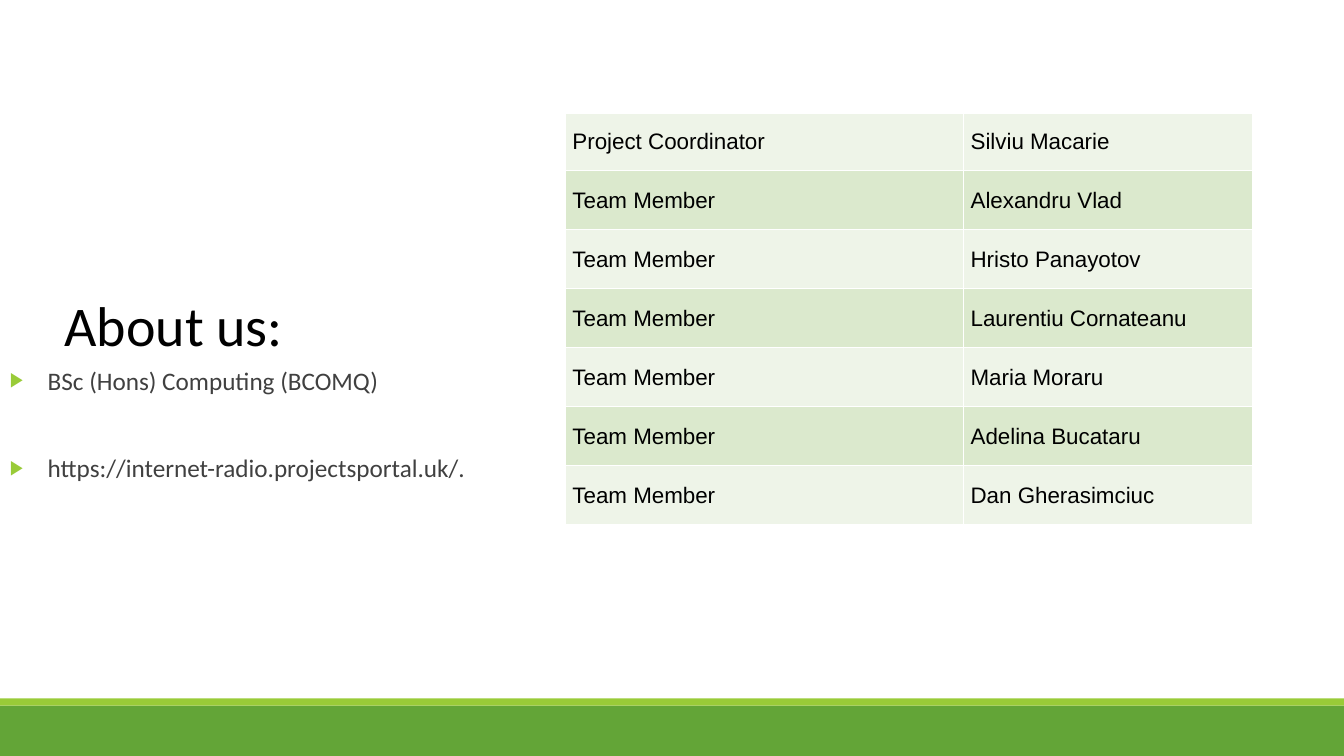
import dataclasses

import lxml.etree
import pptx
import pptx.dml.color
import pptx.enum.shapes
import pptx.enum.text
import pptx.oxml.ns
import pptx.util

COLUMNS, ROWS = 160, 90
UNIT = pptx.util.Emu(76200)
COLORS = {
    "green": "63A537",
    "lime": "99CB38",
    "pale": "EEF4E8",
    "light": "DBE9CD",
    "black": "000000",
    "gray": "404040",
    "white": "FFFFFF",
}


@dataclasses.dataclass(frozen=True)
class Area:
    column: float
    row: float
    columns: float
    rows: float

    def emu(self) -> list[int]:
        return [grid(n) for n in (self.column, self.row, self.columns, self.rows)]


@dataclasses.dataclass(frozen=True)
class Band:
    area: Area
    color: str


@dataclasses.dataclass(frozen=True)
class Member:
    role: str
    name: str


BANDS = [
    Band(Area(0, 84, COLUMNS, 6), "green"),
    Band(Area(0, 83.16, COLUMNS, 0.84), "lime"),
]
HEADING_AREA = Area(6.5, 34, 30.84, 7.9)
DETAILS_AREA = Area(0, 42.84, 64.8, 16.56)
DETAILS = ["BSc (Hons) Computing (BCOMQ)", "https://internet-radio.projectsportal.uk/."]
TEAM = [Member("Project Coordinator", "Silviu Macarie")] + [
    Member("Team Member", name)
    for name in (
        "Alexandru Vlad",
        "Hristo Panayotov",
        "Laurentiu Cornateanu",
        "Maria Moraru",
        "Adelina Bucataru",
        "Dan Gherasimciuc",
    )
]
TEAM_WIDTHS = (47.4, 34.4)
TEAM_ROW = 7.02
TEAM_AREA = Area(67.32, 13.32, sum(TEAM_WIDTHS), TEAM_ROW * len(TEAM))


def grid(count: float) -> int:
    return round(count * UNIT)


def rgb(color: str) -> pptx.dml.color.RGBColor:
    return pptx.dml.color.RGBColor.from_string(COLORS[color])


def style(paragraph, font: str, size: float, color: str) -> None:
    for run in paragraph.runs:
        run.font.name = font
        run.font.size = pptx.util.Pt(size)
        run.font.color.rgb = rgb(color)


def child(parent, tag: str, **attributes: str):
    return lxml.etree.SubElement(parent, pptx.oxml.ns.qn(tag), attributes)


def draw_band(slide, band: Band) -> None:
    bar = slide.shapes.add_shape(
        pptx.enum.shapes.MSO_SHAPE.RECTANGLE, *band.area.emu()
    )
    bar.shadow.inherit = False
    bar.fill.solid()
    bar.fill.fore_color.rgb = rgb(band.color)
    bar.line.fill.background()


def draw_text(slide, area: Area, text: str, size: float, color: str):
    frame = slide.shapes.add_textbox(*area.emu()).text_frame
    frame.word_wrap = True
    frame.text = text
    for paragraph in frame.paragraphs:
        style(paragraph, "Calibri", size, color)
    return frame


def add_bullet(paragraph) -> None:
    properties = paragraph._p.get_or_add_pPr()
    indent = grid(4.5)
    properties.set("marL", str(indent))
    properties.set("indent", str(-indent))
    child(child(properties, "a:buClr"), "a:srgbClr", val=COLORS["lime"])
    child(properties, "a:buSzPct", val="80000")
    child(properties, "a:buFont", typeface="Arial")
    child(properties, "a:buChar", char="▶")


def draw_details(slide) -> None:
    frame = draw_text(slide, DETAILS_AREA, "\n".join(DETAILS), 18, "gray")
    for index, paragraph in enumerate(frame.paragraphs):
        if index:
            paragraph.space_before = pptx.util.Pt(41)
        add_bullet(paragraph)


def add_borders(cell, top: float) -> None:
    properties = cell._tc.get_or_add_tcPr()
    widths = {"a:lnL": 1, "a:lnR": 1, "a:lnT": top, "a:lnB": 1}
    for index, (tag, width) in enumerate(widths.items()):
        border = child(properties, tag, w=str(pptx.util.Pt(width)))
        child(child(border, "a:solidFill"), "a:srgbClr", val=COLORS["white"])
        properties.insert(index, border)


def fill_cell(cell, text: str, row: int) -> None:
    cell.fill.solid()
    cell.fill.fore_color.rgb = rgb("light" if row % 2 else "pale")
    cell.vertical_anchor = pptx.enum.text.MSO_ANCHOR.MIDDLE
    cell.margin_left = cell.margin_right = grid(0.84)
    cell.margin_top = cell.margin_bottom = 0
    cell.text_frame.text = text
    paragraph = cell.text_frame.paragraphs[0]
    paragraph.alignment = pptx.enum.text.PP_ALIGN.JUSTIFY
    paragraph.line_spacing = 1.07
    paragraph.space_after = pptx.util.Pt(8)
    style(paragraph, "Arial", 16, "black")
    add_borders(cell, 1 if row else 3)


def draw_team(slide) -> None:
    team = slide.shapes.add_table(
        len(TEAM), len(TEAM_WIDTHS), *TEAM_AREA.emu()
    ).table
    team.first_row = team.horz_banding = False
    for column, width in zip(team.columns, TEAM_WIDTHS):
        column.width = grid(width)
    for row, member in enumerate(TEAM):
        team.rows[row].height = grid(TEAM_ROW)
        for column, text in enumerate(dataclasses.astuple(member)):
            fill_cell(team.cell(row, column), text, row)


def main() -> None:
    deck = pptx.Presentation()
    deck.slide_width = grid(COLUMNS)
    deck.slide_height = grid(ROWS)
    slide = deck.slides.add_slide(deck.slide_layouts[6])
    for band in BANDS:
        draw_band(slide, band)
    draw_text(slide, HEADING_AREA, "About us:", 40, "black")
    draw_details(slide)
    draw_team(slide)
    deck.save("out.pptx")


if __name__ == "__main__":
    main()
